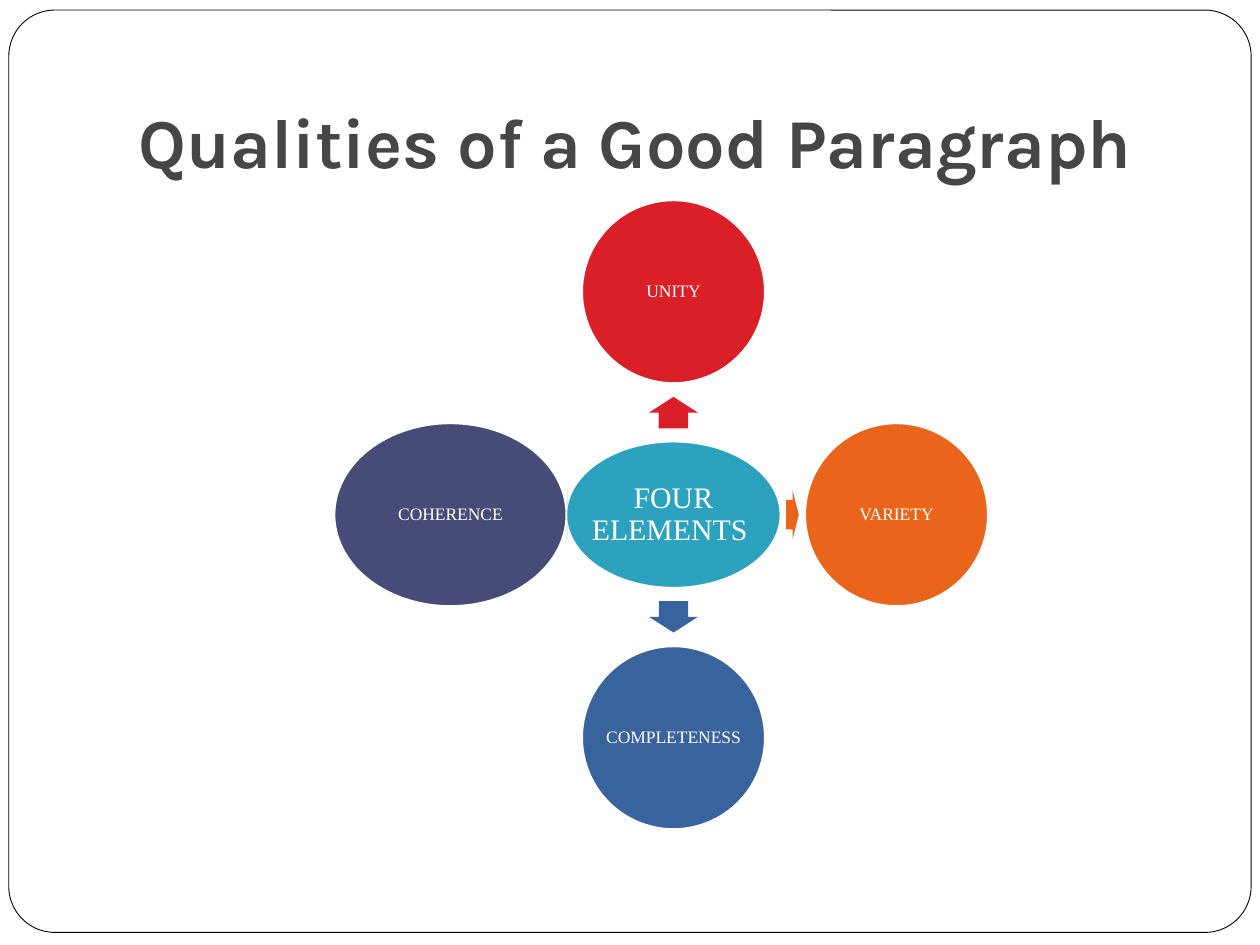
from dataclasses import dataclass

import pptx
import pptx.dml.color
import pptx.enum.shapes
import pptx.enum.text
import pptx.util

SHAPE = pptx.enum.shapes.MSO_SHAPE
ALIGN = pptx.enum.text.PP_ALIGN
ANCHOR = pptx.enum.text.MSO_ANCHOR
COLS, ROWS = 100, 75
CELL = 0.1  # inches per grid cell


@dataclass(frozen=True)
class Theme:
    white: str = "FFFFFF"
    black: str = "000000"
    title: str = "464646"
    hub: str = "2DA2BF"
    unity: str = "DA1F28"
    variety: str = "EB641B"
    completeness: str = "39639D"
    coherence: str = "474B78"
    heading_font: str = "Karla"
    body_font: str = "Times New Roman"
    title_size: int = 40
    hub_size: int = 17
    node_size: int = 10


@dataclass(frozen=True)
class Box:
    """A rectangle in grid columns and rows."""
    col: float
    row: float
    cols: float
    rows: float

    def emu(self) -> list[int]:
        return [pptx.util.Inches(v * CELL) for v in (self.col, self.row, self.cols, self.rows)]


@dataclass(frozen=True)
class Quality:
    """A circle one step from the hub, with the arrow that leads to it."""
    label: str
    color: str
    dx: int
    dy: int
    width: float
    arrow_offset: float
    arrow_length: float
    rotation: int


T = Theme()
CENTER = (53.45, 40.85)
STEP = 17.7
NODE = 14.5
ARROW_WIDTH = 3.9
QUALITIES = [
    Quality("UNITY", T.unity, 0, -1, NODE, 8.1, 2.5, 270),
    Quality("VARIETY", T.variety, 1, 0, NODE, 9.45, 1, 0),
    Quality("COMPLETENESS", T.completeness, 0, 1, NODE, 8.1, 2.5, 90),
    Quality("COHERENCE", T.coherence, -1, 0, 18.4, 8.45, 0, 0),
]


def rgb(value: str) -> pptx.dml.color.RGBColor:
    return pptx.dml.color.RGBColor.from_string(value)


def around(dx: float, dy: float, cols: float, rows: float) -> Box:
    """A box centred at an offset from the hub."""
    return Box(CENTER[0] + dx - cols / 2, CENTER[1] + dy - rows / 2, cols, rows)


def add_shape(s, kind, box: Box, fill: str, line: str = "", weight: float = 1):
    sp = s.shapes.add_shape(kind, *box.emu())
    sp.shadow.inherit = False
    sp.fill.solid()
    sp.fill.fore_color.rgb = rgb(fill)
    if line:
        sp.line.color.rgb = rgb(line)
        sp.line.width = pptx.util.Pt(weight)
    else:
        sp.line.fill.background()
    return sp


def add_text(s, box: Box, text: str, size: int, font: str, color: str,
             insets: tuple, anchor=ANCHOR.MIDDLE, align=ALIGN.CENTER,
             spacing: float = 0.9, bold: bool = False) -> None:
    tf = s.shapes.add_textbox(*box.emu()).text_frame
    tf.word_wrap = True
    tf.vertical_anchor = anchor
    tf.margin_left, tf.margin_top, tf.margin_right, tf.margin_bottom = map(
        pptx.util.Inches, insets)
    p = tf.paragraphs[0]
    p.alignment = align
    p.line_spacing = spacing
    r = p.add_run()
    r.text = text
    r.font.size = pptx.util.Pt(size)
    r.font.name = font
    r.font.bold = bold
    r.font.color.rgb = rgb(color)


def add_bubble(s, box: Box, fill: str, label: str, size: int, inset: float) -> None:
    add_shape(s, SHAPE.OVAL, box, fill, T.white)
    add_text(s, box, label, size, T.body_font, T.white, (inset,) * 4)


def add_quality(s, q: Quality) -> None:
    arrow = add_shape(s, SHAPE.RIGHT_ARROW,
                      around(q.dx * q.arrow_offset, q.dy * q.arrow_offset,
                             q.arrow_length, ARROW_WIDTH), q.color)
    arrow.adjustments[0] = 0.6
    arrow.adjustments[1] = 0.5
    arrow.rotation = q.rotation
    add_bubble(s, around(q.dx * STEP, q.dy * STEP, q.width, NODE),
               q.color, q.label, T.node_size, 0.01)


def main() -> None:
    prs = pptx.Presentation()
    prs.slide_width = pptx.util.Inches(COLS * CELL)
    prs.slide_height = pptx.util.Inches(ROWS * CELL)
    s = prs.slides.add_slide(prs.slide_layouts[6])

    # Rounded frame and title
    frame = add_shape(s, SHAPE.ROUNDED_RECTANGLE, Box(0.7, 0.8, 98.6, 73.2),
                      T.white, T.black, 0.5)
    frame.adjustments[0] = 0.05
    add_text(s, Box(10, 3, 85, 12.5), "Qualities of a Good Paragraph",
             T.title_size, T.heading_font, T.title, (0.1, 0.05, 0.1, 0.1),
             ANCHOR.BOTTOM, ALIGN.LEFT, 1, True)

    # Hub with the four qualities around it
    add_bubble(s, around(0, 0, 17, 11.6), T.hub, "FOUR ELEMENTS ", T.hub_size, 0.02)
    for q in QUALITIES:
        add_quality(s, q)

    prs.save("out.pptx")


if __name__ == "__main__":
    main()
